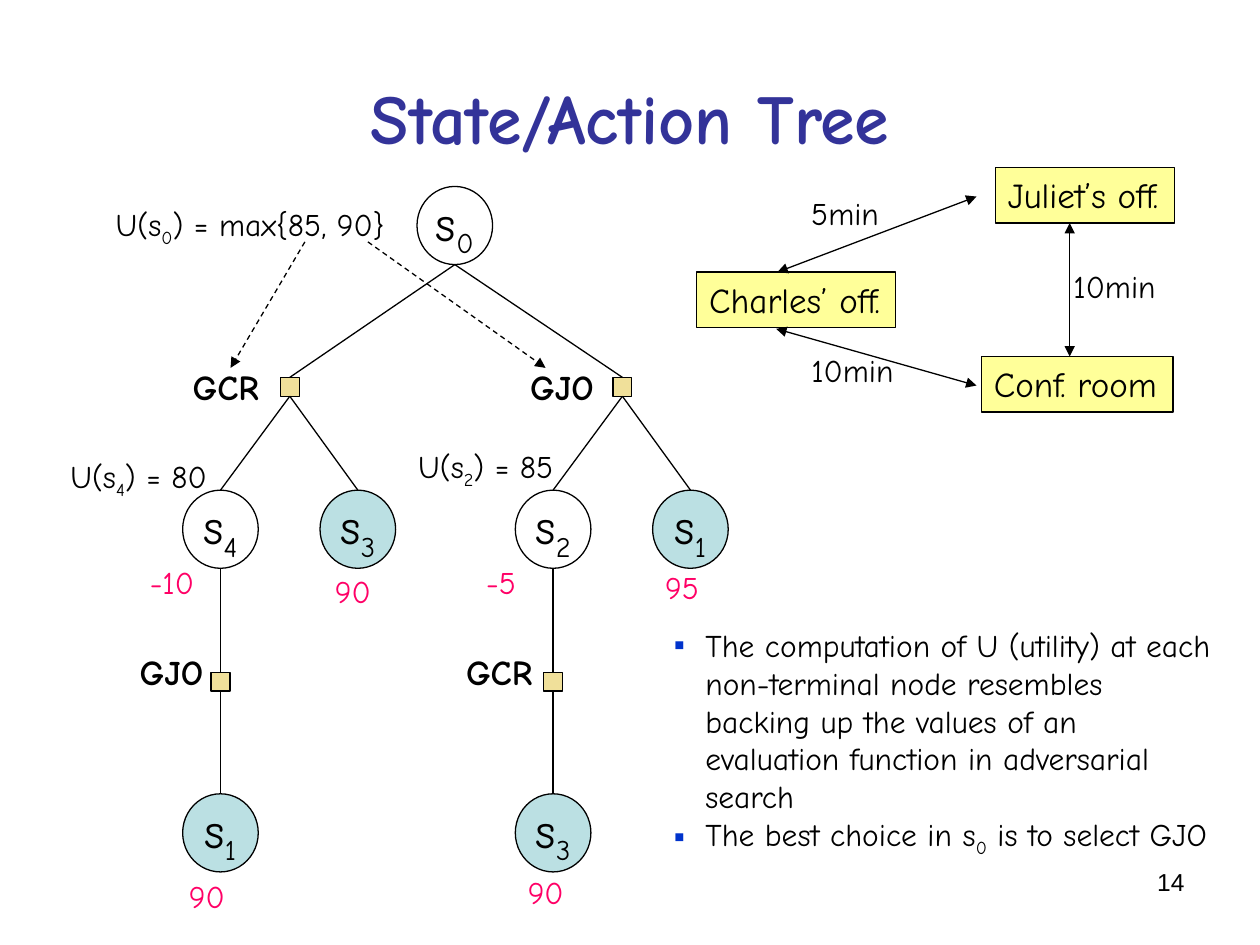
from dataclasses import dataclass

from lxml import etree
from pptx import Presentation
from pptx.dml.color import RGBColor
from pptx.enum.dml import MSO_LINE
from pptx.enum.shapes import MSO_CONNECTOR, MSO_SHAPE
from pptx.enum.text import MSO_ANCHOR, MSO_AUTO_SIZE, PP_ALIGN
from pptx.oxml.ns import qn
from pptx.util import Inches, Pt

LEFT, CENTER, RIGHT = PP_ALIGN.LEFT, PP_ALIGN.CENTER, PP_ALIGN.RIGHT
TOP, MIDDLE = MSO_ANCHOR.TOP, MSO_ANCHOR.MIDDLE
FIT, FIXED = MSO_AUTO_SIZE.SHAPE_TO_FIT_TEXT, MSO_AUTO_SIZE.NONE
OVAL, RECTANGLE = MSO_SHAPE.OVAL, MSO_SHAPE.RECTANGLE
STRAIGHT, DASH = MSO_CONNECTOR.STRAIGHT, MSO_LINE.DASH


@dataclass(frozen=True)
class Theme:
    font: str = "Comic Neue"
    number_font: str = "Arial"
    ink: str = "000000"
    title: str = "333399"
    open_state: str = "FFFFFF"
    final_state: str = "BBE0E3"
    action: str = "F0E09A"
    place: str = "FFFF99"
    reward: str = "FF0066"
    bullet: str = "0033CC"
    title_size: int = 40
    state_size: int = 28
    label_size: int = 20
    body_size: int = 18
    number_size: int = 14
    line_width: float = 0.75


THEME = Theme()


@dataclass(frozen=True)
class Node:
    x: float
    y: float
    width: float
    height: float
    fill: str
    text: str = ""
    kind: int = OVAL

    @property
    def left(self) -> float:
        return self.x - self.width / 2

    @property
    def top(self) -> float:
        return self.y - self.height / 2

    @property
    def bottom(self) -> float:
        return self.y + self.height / 2


@dataclass(frozen=True)
class Label:
    text: str
    left: float
    top: float
    width: float
    height: float = 0.4
    color: str = THEME.ink
    size: int = THEME.body_size
    bold: bool = False


@dataclass(frozen=True)
class Arrow:
    start: tuple[float, float]
    end: tuple[float, float]
    both_ends: bool = True
    dashed: bool = False


def state(x: float, y: float, number: int, final: bool = False) -> Node:
    fill = THEME.final_state if final else THEME.open_state
    return Node(x, y, 0.6, 0.62, fill, f"s_{number}")


def action(x: float, y: float) -> Node:
    return Node(x, y, 0.15, 0.15, THEME.action, kind=RECTANGLE)


def place(text: str, left: float, top: float, width: float) -> Node:
    return Node(left + width / 2, top + 0.22, width, 0.44, THEME.place, text, RECTANGLE)


def action_name(text: str, left: float, top: float) -> Label:
    return Label(text, left, top, 0.72, 0.44, size=THEME.label_size, bold=True)


def reward(text: str, left: float, top: float) -> Label:
    return Label(text, left, top, 0.55, color=THEME.reward)


def write(box, *paragraphs: str, size: int = THEME.body_size, color: str = THEME.ink,
          font: str = THEME.font, bold: bool = False, align=LEFT, anchor=TOP,
          wrap: bool = False, fit=FIXED, bullet: str = "",
          right_margin: float = 0.1) -> None:
    frame = box.text_frame
    frame.word_wrap, frame.auto_size, frame.vertical_anchor = wrap, fit, anchor
    frame.margin_right = Inches(right_margin)
    for index, text in enumerate(paragraphs):
        para = frame.add_paragraph() if index else frame.paragraphs[0]
        para.alignment = align
        if bullet:
            add_bullet(para, bullet)
        first, *rest = text.split("_")
        pieces = [(first, False)]
        for part in rest:
            pieces += [(part[0], True), (part[1:], False)]
        for piece, lowered in pieces:
            if not piece:
                continue
            span = para.add_run()
            span.text = piece
            span.font.name, span.font.size, span.font.bold = font, Pt(size), bold
            span.font.color.rgb = RGBColor.from_string(color)
            if lowered:
                span._r.get_or_add_rPr().set("baseline", "-25000")


def add_bullet(para, mark: str) -> None:
    properties = para._p.get_or_add_pPr()
    properties.set("marL", str(Inches(0.25)))
    properties.set("indent", str(-Inches(0.25)))
    color = etree.SubElement(properties, qn("a:buClr"))
    etree.SubElement(color, qn("a:srgbClr")).set("val", THEME.bullet)
    etree.SubElement(properties, qn("a:buFont")).set("typeface", THEME.number_font)
    etree.SubElement(properties, qn("a:buChar")).set("char", mark)


def add_text(page, left: float, top: float, width: float, height: float,
             *paragraphs: str, **style) -> None:
    box = page.shapes.add_textbox(Inches(left), Inches(top), Inches(width), Inches(height))
    write(box, *paragraphs, wrap=True, **style)


def draw_node(page, node: Node, **style) -> None:
    box = page.shapes.add_shape(node.kind, Inches(node.left), Inches(node.top),
                                Inches(node.width), Inches(node.height))
    box.shadow.inherit = False
    box.fill.solid()
    box.fill.fore_color.rgb = RGBColor.from_string(node.fill)
    box.line.color.rgb = RGBColor.from_string(THEME.ink)
    box.line.width = Pt(THEME.line_width)
    if node.text:
        write(box, node.text, **style)


def draw_line(page, start: tuple[float, float], end: tuple[float, float],
              heads: tuple[str, ...] = (), dashed: bool = False) -> None:
    line = page.shapes.add_connector(STRAIGHT, *map(Inches, start + end))
    line.line.color.rgb = RGBColor.from_string(THEME.ink)
    line.line.width = Pt(THEME.line_width)
    if dashed:
        line.line.dash_style = DASH
    for head in heads:
        etree.SubElement(line.line._get_or_add_ln(), qn(head)).set("type", "triangle")
    etree.SubElement(line._element.spPr, qn("a:effectLst"))


def draw_tree(page) -> None:
    root = state(3.61, 1.79, 0)
    nodes, edges = [root], []
    for x, inner, outer, last in ((1.75, 4, 3, 1), (4.39, 2, 1, 3)):
        choice, followup = action(x + 0.55, 3.07), action(x, 5.41)
        middle, side = state(x, 4.2, inner), state(x + 1.09, 4.2, outer, True)
        leaf = state(x, 6.61, last, True)
        nodes += [choice, middle, side, followup, leaf]
        edges += [(root, choice), (choice, middle), (choice, side),
                  (middle, followup), (followup, leaf)]
    for node in nodes:
        draw_node(page, node, size=THEME.state_size, align=CENTER, anchor=MIDDLE)
    for upper, lower in edges:
        draw_line(page, (upper.x, upper.bottom), (lower.x, lower.top))


PLACES = (place("Juliet’s off.", 7.9, 1.33, 1.42), place("Conf. room", 7.79, 2.83, 1.52),
          place("Charles’ off.", 5.53, 2.16, 1.58))
ARROWS = (Arrow((6.17, 2.16), (7.75, 1.56)), Arrow((6.16, 2.61), (7.75, 3.06)),
          Arrow((8.49, 1.77), (8.49, 2.83)),
          Arrow((2.42, 1.92), (1.83, 2.92), both_ends=False, dashed=True),
          Arrow((2.92, 1.92), (4.33, 2.92), both_ends=False, dashed=True))
LABELS = (action_name("GCR", 1.43, 2.85), action_name("GJO", 4.11, 2.85),
          action_name("GJO", 1.01, 5.11), action_name("GCR", 3.6, 5.11),
          Label("10min", 8.42, 2.07, 0.85), Label("5min", 6.34, 1.49, 0.74),
          Label("10min", 6.34, 2.74, 0.85),
          reward("90", 1.4, 6.91), reward("95", 5.18, 4.46), reward("90", 4.09, 6.88),
          reward("90", 2.56, 4.49), reward("-10", 1.09, 4.42), reward("-5", 3.76, 4.42),
          Label("U(s_4) = 80", 0.46, 3.58, 1.28, 0.44),
          Label("U(s_2) = 85", 3.22, 3.5, 1.28, 0.44),
          Label("U(s_0) = max{85, 90}", 0.82, 1.58, 2.33, 0.44))
NOTES = ("The computation of U (utility) at each non-terminal node resembles backing up "
         "the values of an evaluation function in adversarial search",
         "The best choice in s_0 is to select GJO")


def main() -> None:
    deck = Presentation()
    deck.slide_width, deck.slide_height = Inches(10), Inches(7.5)
    page = deck.slides.add_slide(deck.slide_layouts[6])
    add_text(page, 0.5, 0.3, 9, 1.25, "State/Action Tree", size=THEME.title_size,
             color=THEME.title, bold=True, align=CENTER, anchor=MIDDLE)
    draw_tree(page)
    for spot in PLACES:
        draw_node(page, spot, size=THEME.label_size, fit=FIT)
    for arrow in ARROWS:
        heads = ("a:headEnd", "a:tailEnd") if arrow.both_ends else ("a:tailEnd",)
        draw_line(page, arrow.start, arrow.end, heads, arrow.dashed)
    for label in LABELS:
        add_text(page, label.left, label.top, label.width, label.height, label.text,
                 size=label.size, color=label.color, bold=label.bold, right_margin=0)
    add_text(page, 5.25, 4.92, 4.5, 1.94, *NOTES, fit=FIT, bullet="▪")
    add_text(page, 7.17, 6.83, 2.33, 0.52, "14", size=THEME.number_size,
             font=THEME.number_font, align=RIGHT)
    deck.save("out.pptx")


if __name__ == "__main__":
    main()
